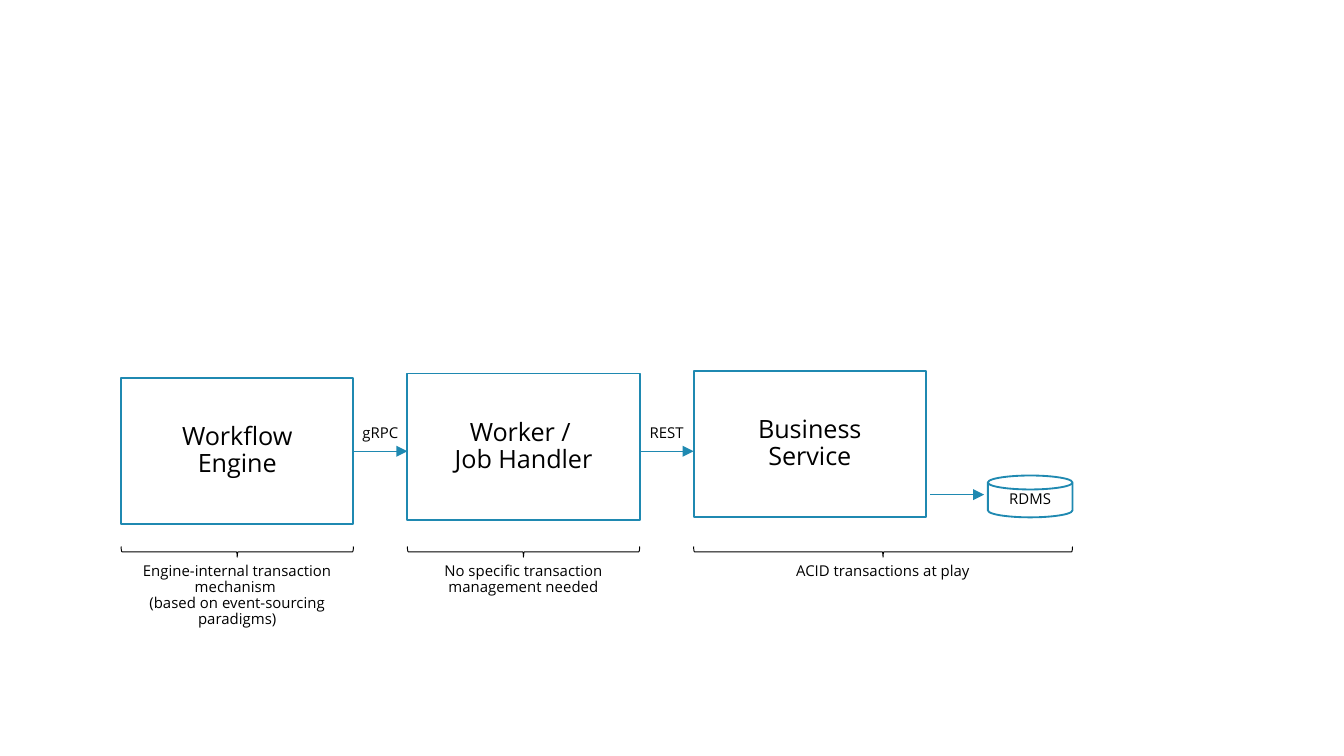
from pptx import Presentation
from pptx.dml.color import RGBColor
from pptx.enum.shapes import MSO_CONNECTOR, MSO_SHAPE
from pptx.enum.text import MSO_ANCHOR as ANCHOR, PP_ALIGN as ALIGN
from pptx.oxml.ns import qn
from pptx.util import Cm, Pt
from lxml.etree import SubElement

COLORS = {"accent": "1F89B1", "box": "FFFFFF", "text": "000000"}
FONT = "Open Sans"

# Column grid, in cm
LEFT, STEP_W, STEP_H, GAP = 2.29, 4.39, 2.77, 1.02
PITCH = STEP_W + GAP
ARROW_Y = 8.53
BRACE_Y, BRACE_H = 10.33, 0.2
SMALL, LARGE = 8, 13.5


def color(name):
    return RGBColor.from_string(COLORS[name])


def set_text(sp, text, size, anchor):
    tf = sp.text_frame
    tf.word_wrap = True
    tf.vertical_anchor = anchor
    tf.text = text
    for p in tf.paragraphs:
        p.alignment = ALIGN.CENTER
        p.line_spacing = 0.9
        for r in p.runs:
            r.font.name = FONT
            r.font.size = Pt(size)
            r.font.color.rgb = color("text")


def add_node(slide, kind, box, text, size):
    sp = slide.shapes.add_shape(kind, *map(Cm, box))
    sp.shadow.inherit = False
    sp.fill.solid()
    sp.fill.fore_color.rgb = color("box")
    sp.line.color.rgb = color("accent")
    sp.line.width = Pt(1)
    set_text(sp, text, size, ANCHOR.MIDDLE)


def add_label(slide, box, text):
    sp = slide.shapes.add_textbox(*map(Cm, box))
    set_text(sp, text, SMALL, ANCHOR.TOP)


def add_arrow(slide, x, y, length):
    line = slide.shapes.add_connector(
        MSO_CONNECTOR.STRAIGHT, Cm(x), Cm(y), Cm(x + length), Cm(y))
    line.line.color.rgb = color("accent")
    line.line.width = Pt(0.5)
    SubElement(line.line._get_or_add_ln(), qn("a:tailEnd"), type="triangle")
    SubElement(line._element.spPr, qn("a:effectLst"))


def add_call(slide, box, protocol):
    """Arrow across the gap between two steps, with the protocol above it."""
    x, y, w, h = box
    add_arrow(slide, x, y + h, w)
    label_w = 1.37
    add_label(slide, (x + (w - label_w) / 2, y, label_w, h), protocol)


def add_scope(slide, box, caption):
    """Downward brace over a caption, both as wide as the box."""
    x, y, w, h = box
    # The brace is upright before it is turned about its centre
    sp = slide.shapes.add_shape(
        MSO_SHAPE.LEFT_BRACE, Cm(x + (w - BRACE_H) / 2),
        Cm(y + (BRACE_H - w) / 2), Cm(BRACE_H), Cm(w))
    sp.rotation = 270
    sp.shadow.inherit = False
    sp.fill.background()
    sp.line.color.rgb = color("text")
    sp.line.width = Pt(0.5)
    add_label(slide, (x, y + BRACE_H, w, h - BRACE_H), caption)


def add_database(slide, box):
    """Arrow into the database at the right end of the box."""
    x, y, w, h = box
    disk_w = 1.6
    add_arrow(slide, x, y + 0.36, GAP)
    add_node(slide, MSO_SHAPE.FLOWCHART_MAGNETIC_DISK,
             (x + w - disk_w, y, disk_w, h), "RDMS", SMALL)


def main():
    prs = Presentation()
    prs.slide_width, prs.slide_height = Cm(25.4), Cm(14.29)
    slide = prs.slides.add_slide(prs.slide_layouts[6])

    # Steps: top, name, scope width, scope height, caption
    steps = [
        (7.14, "Workflow\nEngine", STEP_W, 1.83,
         "Engine-internal transaction mechanism \n"
         "(based on event-sourcing paradigms)"),
        (7.06, "Worker / \nJob Handler", STEP_W, 1.14,
         "No specific transaction management needed"),
        (7.01, "Business\nService", 7.16, 0.81, "ACID transactions at play"),
    ]
    for i, (top, name, scope_w, scope_h, caption) in enumerate(steps):
        x = LEFT + i * PITCH
        add_node(slide, MSO_SHAPE.RECTANGLE, (x, top, STEP_W, STEP_H),
                 name, LARGE)
        add_scope(slide, (x, BRACE_Y, scope_w, scope_h), caption)

    # Calls between the steps
    for i, protocol in enumerate(["gRPC", "REST"]):
        x = LEFT + i * PITCH + STEP_W
        add_call(slide, (x, ARROW_Y - 0.6, GAP, 0.6), protocol)

    # Database behind the business service
    add_database(slide, (17.58, 8.99, 2.69, 0.79))

    prs.save("out.pptx")


if __name__ == "__main__":
    main()
